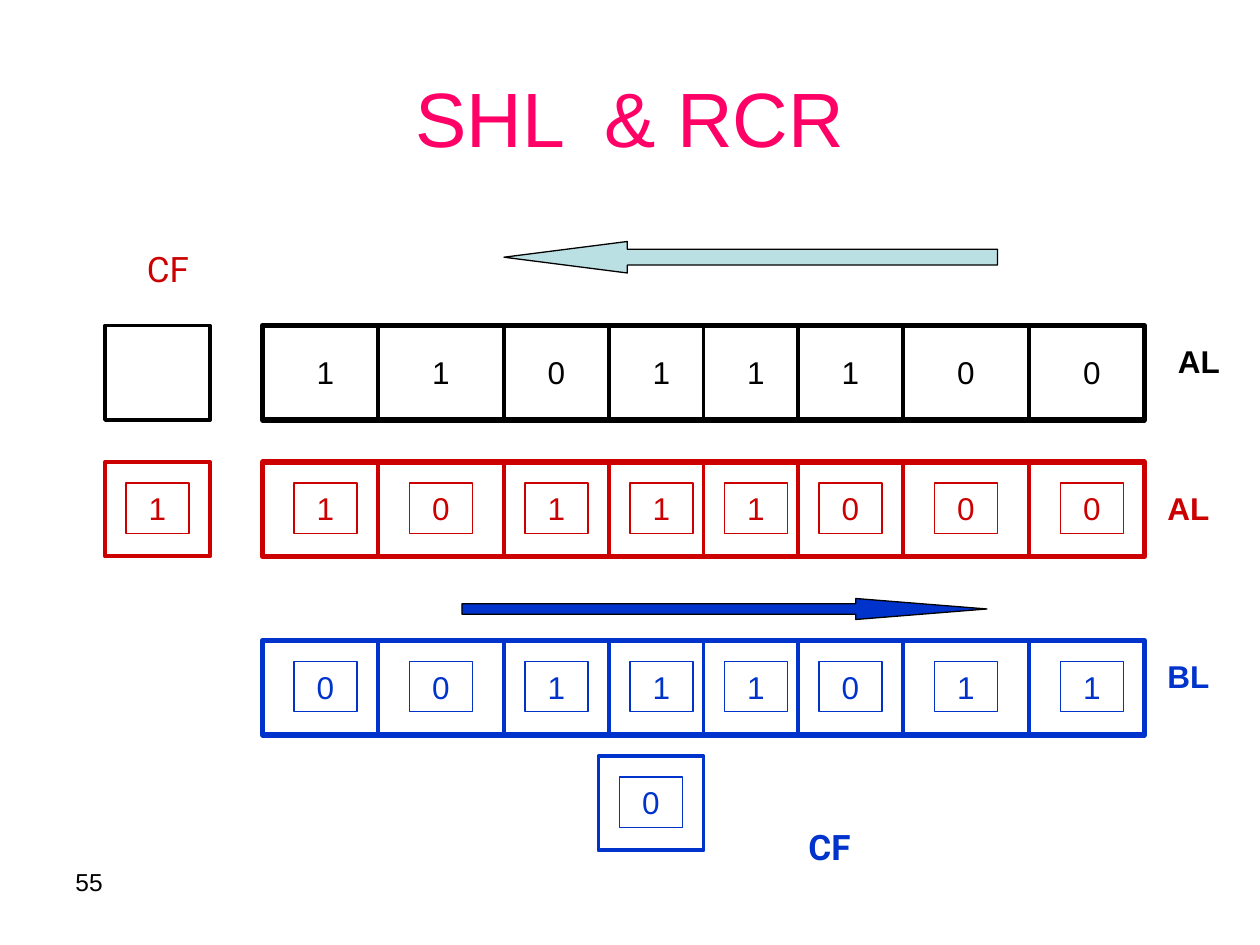
from itertools import accumulate

from lxml import etree
from pptx import Presentation
from pptx.dml.color import RGBColor
from pptx.enum.shapes import MSO_CONNECTOR, MSO_SHAPE
from pptx.enum.text import MSO_ANCHOR, PP_ALIGN
from pptx.oxml.ns import qn
from pptx.util import Pt

RECT = MSO_SHAPE.RECTANGLE
LEFT_ARROW, RIGHT_ARROW = MSO_SHAPE.LEFT_ARROW, MSO_SHAPE.RIGHT_ARROW
STRAIGHT = MSO_CONNECTOR.STRAIGHT
LEFT, CENTER = PP_ALIGN.LEFT, PP_ALIGN.CENTER
TOP, MIDDLE = MSO_ANCHOR.TOP, MSO_ANCHOR.MIDDLE

SCALE = 914400 // 120
BLACK, RED, BLUE, PINK, TEAL = "000000", "CC0000", "0033CC", "FF0066", "BBE0E3"
CELLS = [110, 120, 100, 90, 90, 100, 120, 110]
ROW_X, ROW_H = 250, 90
FLAG_W = 100
BIT_W, BIT_H = 60, 48
PAD = 20


def px(*vals):
    """Turn px lengths into EMU."""
    return [val * SCALE for val in vals]


def paint(form, tone):
    """Give a fill or line format a solid colour, or a font its colour."""
    form.rgb = RGBColor.from_string(tone)


def write(shape, text, tone, align=CENTER, anchor=TOP, **style):
    """Write one line of styled text in a shape."""
    frame = shape.text_frame
    frame.word_wrap = True
    frame.vertical_anchor = anchor
    frame.text = text
    para = frame.paragraphs[0]
    para.alignment = align
    font = para.runs[0].font
    for key, val in {"name": "Arial", "size": Pt(18), "bold": False, **style}.items():
        setattr(font, key, val)
    paint(font.color, tone)


def label(slide, box, text, tone, **style):
    """Place a plain text box."""
    write(slide.shapes.add_textbox(*px(*box)), text, tone, **style)


def block(slide, box, tone, width, kind=RECT, fill=None):
    """Place an outlined shape, filled if a fill is given."""
    shape = slide.shapes.add_shape(kind, *px(*box))
    shape.shadow.inherit = False
    if fill:
        shape.fill.solid()
        paint(shape.fill.fore_color, fill)
    else:
        shape.fill.background()
    paint(shape.line.color, tone)
    shape.line.width = Pt(width)
    return shape


def arrow(slide, box, kind, fill):
    """Place a block arrow whose head is a quarter of its length."""
    shape = block(slide, box, BLACK, 0.75, kind, fill)
    shape.adjustments[0] = 0.5
    shape.adjustments[1] = box[2] / box[3] / 4


def bit(slide, x, y, text, tone, framed=True):
    """Place one bit, with or without a frame."""
    box = (x, y, BIT_W, BIT_H)
    if framed:
        write(block(slide, box, tone, 0.75), text, tone)
    else:
        label(slide, box, text, tone)


def split(slide, x, y, tone):
    """Draw the line between two cells."""
    line = slide.shapes.add_connector(STRAIGHT, *px(x, y, x, y + ROW_H))
    paint(line.line.color, tone)
    line.line.width = Pt(2.25)
    etree.SubElement(line._element.spPr, qn("a:effectLst"))


def row(slide, y, bits, tone, framed=True):
    """Draw a register of eight bits."""
    block(slide, (ROW_X, y, sum(CELLS), ROW_H), tone, 3)
    starts = list(accumulate(CELLS[:-1], initial=ROW_X))
    for x in starts[1:]:
        split(slide, x, y, tone)
    for x, wide, text in zip(starts, CELLS, bits):
        inset = 30 if wide >= 110 else PAD
        bit(slide, x + inset, y + PAD, text, tone, framed)


def flag(slide, x, y, tone, text=None):
    """Draw the carry flag, with its bit if it has one."""
    block(slide, (x, y, FLAG_W, ROW_H), tone, 2.25)
    if text:
        bit(slide, x + PAD, y + PAD, text, tone)


def main():
    """Build the slide and save it."""
    deck = Presentation()
    deck.slide_width, deck.slide_height = px(1200, 900)
    slide = deck.slides.add_slide(deck.slide_layouts[5])

    title = slide.shapes.title
    title.left, title.top, title.width, title.height = px(60, 36, 1080, 150)
    write(title, "SHL  & RCR", PINK, anchor=MIDDLE, size=Pt(44))
    label(slide, (60, 820, 280, 62), "55", BLACK, align=LEFT, size=Pt(14))

    row(slide, 310, "11011100", BLACK, framed=False)
    row(slide, 440, "10111000", RED)
    row(slide, 610, "00111011", BLUE)

    flag(slide, 100, 310, BLACK)
    flag(slide, 100, 440, RED, "1")
    flag(slide, 570, 720, BLUE, "0")

    for x, y, wide, text, tone in [
        (1110, 320, 70, "AL", BLACK),
        (1100, 460, 80, "AL", RED),
        (1100, 620, 80, "BL", BLUE),
    ]:
        label(slide, (x, y, wide, BIT_H), text, tone, align=LEFT, bold=True)
    for x, y, tone, bold in [(100, 230, RED, False), (730, 780, BLUE, True)]:
        label(slide, (x, y, 120, 53), "CF", tone, name="Roboto", size=Pt(20), bold=bold)

    arrow(slide, (480, 230, 470, 30), LEFT_ARROW, TEAL)
    arrow(slide, (440, 570, 500, 20), RIGHT_ARROW, BLUE)
    deck.save("out.pptx")


if __name__ == "__main__":
    main()
